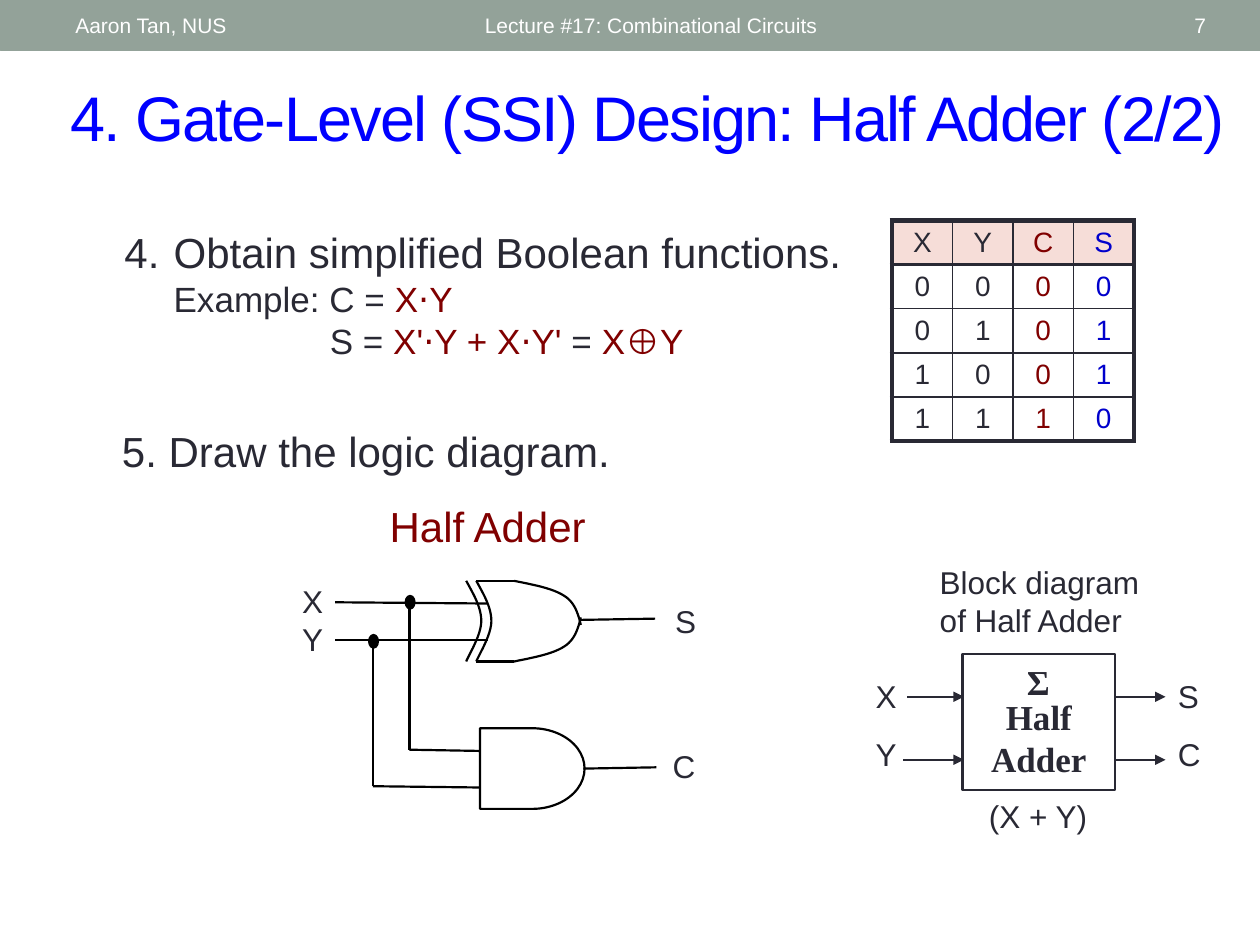
from dataclasses import dataclass

from lxml import etree
from pptx import Presentation
from pptx.dml.color import RGBColor
from pptx.enum.shapes import MSO_CONNECTOR, MSO_SHAPE
from pptx.enum.text import MSO_ANCHOR, PP_ALIGN
from pptx.oxml.ns import qn
from pptx.util import Inches, Pt

STRAIGHT = MSO_CONNECTOR.STRAIGHT
RECTANGLE, OVAL, DELAY = MSO_SHAPE.RECTANGLE, MSO_SHAPE.OVAL, MSO_SHAPE.FLOWCHART_DELAY
LEFT, CENTER, RIGHT = PP_ALIGN.LEFT, PP_ALIGN.CENTER, PP_ALIGN.RIGHT
TOP, MIDDLE = MSO_ANCHOR.TOP, MSO_ANCHOR.MIDDLE


@dataclass(frozen=True)
class Theme:
    """Colours, fonts and type sizes of the slide."""
    ink: str = "292934"
    black: str = "000000"
    white: str = "FFFFFF"
    bar: str = "93A299"
    title: str = "0000FF"
    red: str = "800000"
    blue: str = "0000CC"
    header: str = "F6DDD8"
    sans: str = "Arial"
    serif: str = "Times New Roman"
    title_size: int = 36
    head_size: int = 24
    body_size: int = 20
    label_size: int = 18
    table_size: int = 16
    footer_size: int = 12


THEME = Theme()


def color(value):
    """Turn a hex string into a colour."""
    return RGBColor.from_string(value)


def add_span(para, text, size, ink=THEME.ink, font=THEME.sans, bold=False):
    """Add one formatted run to a paragraph."""
    span = para.add_run()
    span.text = text
    span.font.size, span.font.name, span.font.bold = Pt(size), font, bold
    span.font.color.rgb = color(ink)
    return span


def set_indent(para, margin, hanging=0):
    """Set the left margin and the hanging first line."""
    properties = para._p.get_or_add_pPr()
    properties.set("marL", str(Inches(margin)))
    properties.set("indent", str(-Inches(hanging)))


def add_text(shapes, place, lines, size, ink=THEME.ink, font=THEME.sans,
             bold=False, align=LEFT, anchor=TOP, after=0):
    """Add a wrapped text box with one paragraph per line."""
    box = shapes.add_textbox(*map(Inches, place))
    frame = box.text_frame
    frame.word_wrap, frame.vertical_anchor = True, anchor
    for index, line in enumerate(lines):
        para = frame.add_paragraph() if index else frame.paragraphs[0]
        para.alignment, para.space_after = align, Pt(after)
        add_span(para, line, size, ink, font, bold)
    return frame


def style_outline(shape, ink, width, fill=None):
    """Give a shape its line and fill, without shadow."""
    shape.shadow.inherit = False
    shape.line.color.rgb, shape.line.width = color(ink), Pt(width)
    if fill:
        shape.fill.solid()
        shape.fill.fore_color.rgb = color(fill)
    else:
        shape.fill.background()


def add_block(shapes, kind, place, ink, width=1.25, fill=None):
    """Add a preset shape."""
    style_outline(shapes.add_shape(kind, *map(Inches, place)), ink, width, fill)


def add_wire(shapes, start, end, ink=THEME.black, arrow=False):
    """Add a straight line, with an arrowhead at its end if asked."""
    wire = shapes.add_connector(STRAIGHT, *map(Inches, (*start, *end)))
    wire.line.color.rgb, wire.line.width = color(ink), Pt(1.25)
    properties = wire._element.spPr
    if arrow:
        etree.SubElement(properties.find(qn("a:ln")), qn("a:tailEnd"), type="triangle")
    etree.SubElement(properties, qn("a:effectLst"))


def bezier(points, steps=12):
    """Sample a cubic curve given by four points."""
    for step in range(1, steps + 1):
        t = step / steps
        weights = ((1 - t) ** 3, 3 * t * (1 - t) ** 2, 3 * t * t * (1 - t), t ** 3)
        yield tuple(Inches(sum(w * p[axis] for w, p in zip(weights, points)))
                    for axis in (0, 1))


def add_curve(shapes, points):
    """Draw two joined cubic curves through seven points."""
    builder = shapes.build_freeform(*map(Inches, points[0]))
    builder.add_line_segments([*bezier(points[:4]), *bezier(points[3:])], close=False)
    style_outline(builder.convert_to_shape(), THEME.black, 1.25)


def add_xor_gate(shapes):
    """Draw the XOR gate, symmetric about its middle."""
    top, bottom = 4.61, 5.25
    back = [(0, top), (0.06, 4.72), (0.12, 4.82), (0.12, 4.93),
            (0.12, 5.04), (0.02, 5.2), (0, bottom)]
    for left in (3.78, 3.7):
        add_curve(shapes, [(left + x, y) for x, y in back])
    front = [(4.08, top), (4.23, 4.64), (4.39, 4.67), (4.48, 4.73),
             (4.56, 4.78), (4.59, 4.87), (4.61, 4.96)]
    add_curve(shapes, front)
    add_curve(shapes, [(x, top + bottom - y) for x, y in front])
    for y in (top, bottom):
        add_wire(shapes, (3.78, y), (4.08, y))


def add_logic_diagram(slide):
    """Draw the gates, wires and labels of the half adder."""
    shapes = slide.shapes.add_group_shape().shapes
    add_block(shapes, DELAY, (3.81, 5.78, 0.83, 0.64), THEME.black)
    wires = [((2.66, 4.78), (3.87, 4.79)), ((2.66, 5.08), (3.87, 5.08)),
             ((4.61, 4.92), (5.2, 4.91)), ((4.63, 6.1), (5.21, 6.09)),
             ((3.25, 4.78), (3.25, 5.95)), ((3.25, 5.95), (3.81, 5.96)),
             ((2.96, 5.08), (2.96, 6.24)), ((2.96, 6.24), (3.81, 6.25))]
    for start, end in wires:
        add_wire(shapes, start, end)
    for left, top in ((2.93, 5.04), (3.22, 4.73)):
        add_block(shapes, OVAL, (left, top, 0.07, 0.1), THEME.black, fill=THEME.black)
    add_xor_gate(shapes)
    for place, lines in (((2.3, 4.57, 0.4, 0.55), "XY"),
                         ((5.26, 4.73, 0.4, 0.35), "S"),
                         ((5.24, 5.88, 0.4, 0.35), "C")):
        add_text(shapes, place, lines, THEME.label_size)


def add_block_diagram(slide):
    """Draw the half adder as a block with its inputs and outputs."""
    shapes = slide.shapes.add_group_shape().shapes
    for y, left in ((5.53, 7.2), (6.03, 7.17)):
        add_wire(shapes, (left, y), (7.65, y), THEME.ink, arrow=True)
        add_wire(shapes, (8.25, y), (9.25, y), THEME.ink, arrow=True)
    for left, lines in ((6.85, "XY"), (9.25, "SC")):
        add_text(shapes, (left, 5.32, 0.42, 0.88), lines, THEME.label_size, after=12)
    add_text(shapes, (7.75, 6.28, 1, 0.4), ["(X + Y)"], THEME.label_size)
    add_block(shapes, RECTANGLE, (7.64, 5.19, 1.21, 1.08), THEME.ink, 1.5, THEME.white)
    for place, lines in (((7.67, 5.47, 1.15, 0.77), ["Half", "Adder"]),
                         ((7.93, 5.19, 0.62, 0.44), ["Σ"])):
        add_text(shapes, place, lines, THEME.body_size, font=THEME.serif,
                 bold=True, align=CENTER)
    add_text(shapes, (7.36, 4.42, 1.92, 0.71), ["Block diagram of Half Adder"],
             THEME.label_size)


def add_border(cell, side, width):
    """Add one border to a table cell."""
    border = etree.SubElement(cell._tc.get_or_add_tcPr(), qn(f"a:ln{side}"),
                              w=str(Pt(width)))
    fill = etree.SubElement(border, qn("a:solidFill"))
    etree.SubElement(fill, qn("a:srgbClr"), val=THEME.ink)


def add_truth_table(slide):
    """Add the truth table of the half adder."""
    rows = ["XYCS", "0000", "0101", "1001", "1110"]
    inks = (THEME.ink, THEME.ink, THEME.red, THEME.blue)
    column_rules, row_rules = (3, 1, 1.5, 1, 3), (3, 1.5, 1, 1, 1, 3)
    table = slide.shapes.add_table(5, 4, Inches(7.08), Inches(1.75),
                                   Inches(1.92), Inches(1.75)).table
    table.first_row = table.horz_banding = False
    for r, values in enumerate(rows):
        for c, value in enumerate(values):
            cell = table.cell(r, c)
            for side, width in zip("LRTB", (*column_rules[c:c + 2], *row_rules[r:r + 2])):
                add_border(cell, side, width)
            cell.fill.background()
            if r == 0:
                cell.fill.solid()
                cell.fill.fore_color.rgb = color(THEME.header)
            cell.margin_top = cell.margin_bottom = Inches(0.04)
            cell.vertical_anchor = MIDDLE
            para = cell.text_frame.paragraphs[0]
            para.alignment = CENTER
            add_span(para, value, THEME.table_size, inks[c])


def add_header(slide):
    """Add the header bar and the title."""
    add_block(slide.shapes, RECTANGLE, (0, 0, 10, 0.4), THEME.bar, 0.25, THEME.bar)
    for left, width, text, align in ((3.75, 4.5, "Lecture #17: Combinational Circuits", LEFT),
                                     (8.72, 0.95, "7", RIGHT),
                                     (0.5, 3.17, "Aaron Tan, NUS", LEFT)):
        add_text(slide.shapes, (left, 0.02, width, 0.36), [text], THEME.footer_size,
                 THEME.white, align=align, anchor=MIDDLE)
    title = slide.shapes.title
    title.left, title.top, title.width, title.height = map(Inches, (0.46, 0.57, 9.38, 0.7))
    title.text_frame.vertical_anchor = MIDDLE
    para = title.text_frame.paragraphs[0]
    para.alignment = LEFT
    set_indent(para, 2.16, 2.16)
    span = add_span(para, "4. Gate-Level (SSI) Design: Half Adder (2/2)",
                    THEME.title_size, THEME.title)
    span._r.get_or_add_rPr().set("spc", "-100")


def add_steps(slide):
    """Add the two design steps and the diagram heading."""
    frame = add_text(slide.shapes, (0.5, 1.75, 9, 1.42),
                     ["4.\tObtain simplified Boolean functions."], THEME.head_size)
    set_indent(frame.paragraphs[0], 0.78, 0.39)
    formulas = [(0.78, [("Example: C = ", THEME.ink), ("X⋅Y", THEME.red)]),
                (2.02, [("S = ", THEME.ink), ("X'⋅Y + X⋅Y'", THEME.red),
                        (" = ", THEME.ink), ("X⊕Y", THEME.red)])]
    for margin, spans in formulas:
        para = frame.add_paragraph()
        set_indent(para, margin)
        for text, ink in spans:
            add_span(para, text, THEME.body_size, ink)
    frame = add_text(slide.shapes, (0.5, 3.33, 9, 0.75), ["5. Draw the logic diagram."],
                     THEME.head_size)
    set_indent(frame.paragraphs[0], 0.78, 0.41)
    add_text(slide.shapes, (2.91, 3.92, 1.92, 0.5), ["Half Adder"], THEME.head_size,
             THEME.red, align=CENTER)


def main():
    """Build the slide and save the deck."""
    deck = Presentation()
    deck.slide_width, deck.slide_height = Inches(10), Inches(7.5)
    slide = deck.slides.add_slide(deck.slide_layouts[5])
    for add_part in (add_header, add_steps, add_truth_table,
                     add_logic_diagram, add_block_diagram):
        add_part(slide)
    deck.save("out.pptx")


if __name__ == "__main__":
    main()
